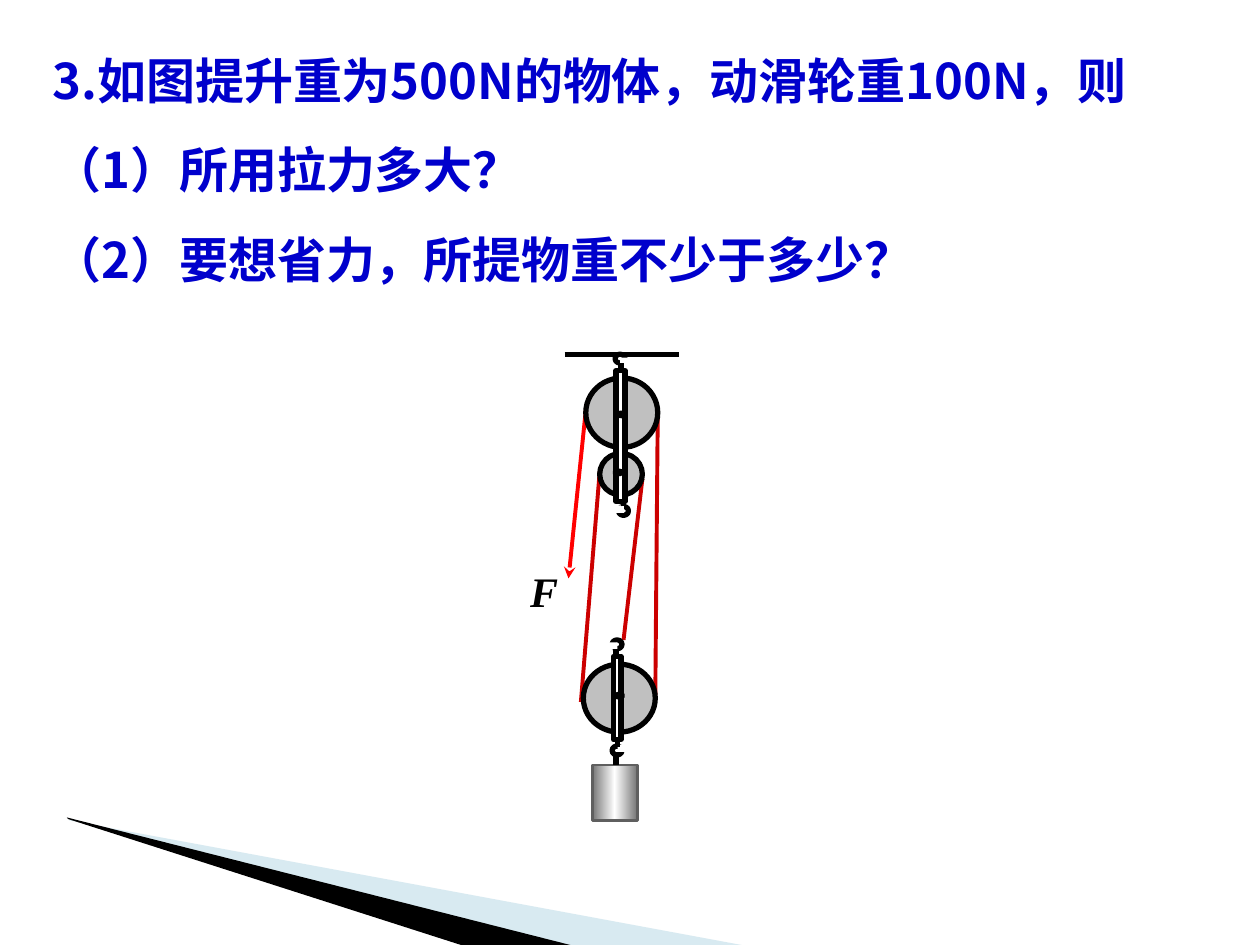
from copy import deepcopy
from dataclasses import dataclass

from lxml import etree
from pptx import Presentation
from pptx.dml.color import RGBColor
from pptx.enum.shapes import MSO_CONNECTOR, MSO_SHAPE
from pptx.enum.text import MSO_AUTO_SIZE
from pptx.oxml.ns import qn
from pptx.util import Cm, Pt

STRAIGHT = MSO_CONNECTOR.STRAIGHT
OVAL = MSO_SHAPE.OVAL
RECT = MSO_SHAPE.RECTANGLE
GROW = MSO_AUTO_SIZE.SHAPE_TO_FIT_TEXT


@dataclass(frozen=True)
class Theme:
    question: str = "0000CC"
    ink: str = "000000"
    paper: str = "FFFFFF"
    wheel: str = "C0C0C0"
    rope: str = "CC0000"
    pull: str = "FF0000"
    wedge: str = "9FCBDC"
    weight_edge: str = "5F5F5F"
    weight_stops: tuple = ((0, "767676"), (0.5, "FFFFFF"), (1, "767676"))
    question_font: str = "Noto Sans CJK SC"
    force_font: str = "Times New Roman"
    question_size: float = 28
    force_size: float = 24
    question_gap: float = 17.5
    thick: float = 3
    rope_width: float = 2.25
    weight_line: float = 1.5


THEME = Theme()

QUESTION = (
    "3.如图提升重为500N的物体，动滑轮重100N，则",
    "（1）所用拉力多大？",
    "（2）要想省力，所提物重不少于多少？",
)


def rgb(color):
    return RGBColor.from_string(color)


def add_text(slide, box, lines, color, gap=0, **font_format):
    frame = slide.shapes.add_textbox(*map(Cm, box)).text_frame
    for name, value in {"word_wrap": True, "auto_size": GROW}.items():
        setattr(frame, name, value)
    for index, line in enumerate(lines):
        paragraph = frame.paragraphs[0] if index == 0 else frame.add_paragraph()
        paragraph.space_before = Pt(gap)
        run = paragraph.add_run()
        run.text = line
        for name, value in font_format.items():
            setattr(run.font, name, value)
        run.font.color.rgb = rgb(color)
        east_asian = etree.SubElement(run.font._element, qn("a:ea"))
        east_asian.set("typeface", font_format["name"])


def add_part(slide, kind, box, fill=None, line=None, width=THEME.thick):
    part = slide.shapes.add_shape(kind, *map(Cm, box))
    part.shadow.inherit = False
    if fill:
        part.fill.solid()
        part.fill.fore_color.rgb = rgb(fill)
    if line:
        part.line.color.rgb = rgb(line)
        part.line.width = Pt(width)
    else:
        part.line.fill.background()
    return part


def add_line(slide, start, end, color=THEME.ink, width=THEME.thick, arrow=None):
    line = slide.shapes.add_connector(STRAIGHT, *map(Cm, start + end))
    line.line.color.rgb = rgb(color)
    line.line.width = Pt(width)
    if arrow:
        etree.SubElement(line.line._get_or_add_ln(), qn("a:tailEnd"), type=arrow)
    etree.SubElement(line._element.spPr, qn("a:effectLst"))


def add_wedge(slide, points, color, opacity=100):
    corners = [(Cm(x), Cm(y)) for x, y in points]
    builder = slide.shapes.build_freeform(*corners[0], scale=1.0)
    builder.add_line_segments(corners[1:], close=True)
    wedge = builder.convert_to_shape()
    wedge.shadow.inherit = False
    wedge.fill.solid()
    wedge.fill.fore_color.rgb = rgb(color)
    wedge.line.fill.background()
    if opacity < 100:
        tint = wedge._element.spPr.find(qn("a:solidFill"))[0]
        etree.SubElement(tint, qn("a:alpha"), val=str(opacity * 1000))


def add_weight(slide, box):
    weight = add_part(slide, RECT, box, line=THEME.weight_edge, width=THEME.weight_line)
    weight.fill.gradient()
    weight.fill.gradient_angle = 0
    stop_list = weight._element.spPr.find(qn("a:gradFill")).find(qn("a:gsLst"))
    stop_list.append(deepcopy(stop_list[0]))
    for stop, (position, color) in zip(weight.fill.gradient_stops, THEME.weight_stops):
        stop.position = position
        stop.color.rgb = rgb(color)


def add_wheel(slide, box):
    add_part(slide, OVAL, box, THEME.wheel, THEME.ink)


def add_strap(slide, box):
    add_part(slide, RECT, box, THEME.paper, THEME.ink)


def add_hook(slide, ring, gap, stem_x, stem_from, stem_to):
    """Ring, the white block that opens it, and its stem."""
    add_part(slide, OVAL, ring + (0.2, 0.18), THEME.paper, THEME.ink)
    add_part(slide, RECT, gap + (0.18, 0.15), THEME.paper)
    add_line(slide, (stem_x, stem_from), (stem_x, stem_to))


def add_axle(slide, corner):
    add_part(slide, OVAL, corner + (0.13, 0.05), THEME.ink, THEME.ink)


def main():
    deck = Presentation()
    deck.slide_width, deck.slide_height = Cm(25.4), Cm(19.05)
    slide = deck.slides.add_slide(deck.slide_layouts[6])

    # Corner decoration
    add_wedge(slide, [(1.4, 16.54), (15.11, 19.08), (11.58, 19.08), (1.4, 16.51)],
              THEME.wedge, opacity=40)
    add_wedge(slide, [(1.35, 16.48), (11.61, 19.08), (9.45, 19.1), (1.37, 16.51)],
              THEME.ink)

    # Question and force label
    add_text(slide, (0.81, 0.89, 23.24, 6.25), QUESTION, THEME.question,
             THEME.question_gap, name=THEME.question_font,
             size=Pt(THEME.question_size), bold=True)
    add_text(slide, (10.44, 11.28, 3.86, 1.27), ["F"], THEME.ink,
             name=THEME.force_font, size=Pt(THEME.force_size), bold=True, italic=True)

    # Pulling force, weight and ropes
    add_line(slide, (11.81, 8.26), (11.46, 11.66), THEME.pull, THEME.rope_width, "stealth")
    add_weight(slide, (11.94, 15.42, 0.91, 1.12))
    add_line(slide, (12.42, 15.14), (12.42, 15.42))
    for start, end in (
        ((13.21, 14.02), (13.26, 8.26)),
        ((12.95, 9.65), (12.57, 12.9)),
        ((12.09, 9.5), (11.71, 14.15)),
    ):
        add_line(slide, start, end, THEME.rope, THEME.rope_width)

    # Movable pulley
    add_wheel(slide, (11.76, 13.39, 1.45, 1.37))
    add_strap(slide, (12.37, 13.23, 0.15, 1.68))
    add_hook(slide, (12.34, 15.04), (12.45, 15.01), 12.45, 15.06, 14.91)
    add_hook(slide, (12.34, 12.9), (12.27, 12.95), 12.42, 13.08, 13.23)
    add_axle(slide, (12.42, 14))

    # Ceiling and fixed pulleys
    add_line(slide, (11.38, 7.14), (13.69, 7.14))
    add_wheel(slide, (12.09, 9.14, 0.86, 0.84))
    add_wheel(slide, (11.81, 7.62, 1.45, 1.4))
    add_strap(slide, (12.42, 7.47, 0.18, 2.64))
    add_hook(slide, (12.4, 7.14), (12.5, 7.21), 12.52, 7.32, 7.47)
    add_hook(slide, (12.47, 10.21), (12.4, 10.19), 12.57, 10.21, 10.06)
    add_axle(slide, (12.47, 8.33))
    add_axle(slide, (12.4, 9.5))

    deck.save("out.pptx")


if __name__ == "__main__":
    main()
